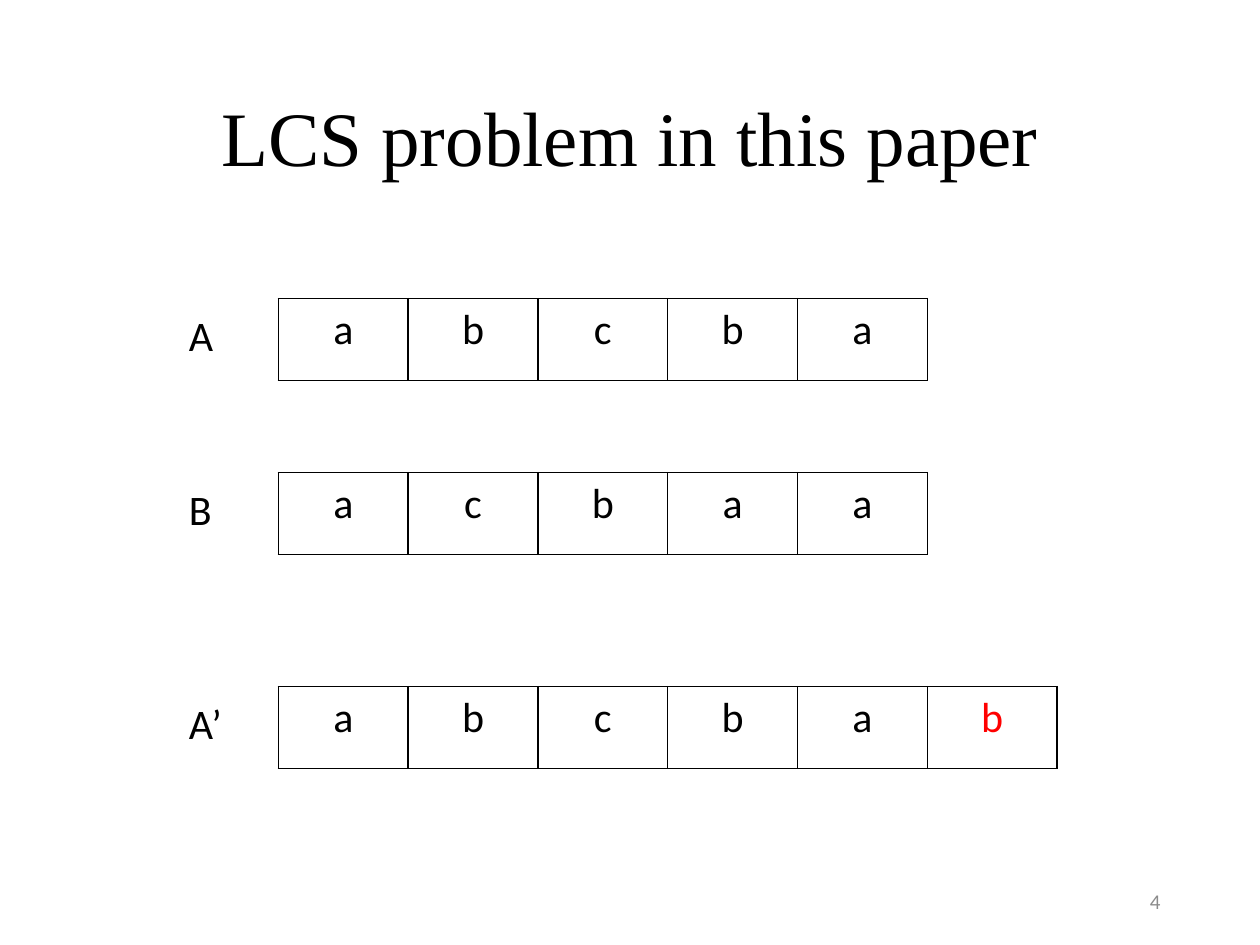
from lxml.etree import SubElement
from pptx import Presentation
from pptx.dml.color import RGBColor
from pptx.enum.text import MSO_ANCHOR as Anchor, MSO_AUTO_SIZE as AutoSize, PP_ALIGN as Align
from pptx.oxml.ns import qn
from pptx.util import Inches, Pt

WIDTH, HEIGHT = 10, 7.5
CELL_W, CELL_H = 1.03, 0.65
LABEL_X, CELLS_X = 1.4, 2.21
BLACK, RED, GRAY = "000000", "FF0000", "8C8C8C"
BODY, HEADING = "Calibri", "Times New Roman"
SEQUENCES = [
    ("A", "abcba", "", 2.37, 0.4),
    ("B", "acbaa", "", 3.75, 0.38),
    ("A’", "abcba", "b", 5.45, 0.47),
]


def rgb(value):
    return RGBColor.from_string(value)


def write(tf, text, size, font=BODY, color=BLACK, align=Align.LEFT):
    p = tf.paragraphs[0]
    p.alignment = align
    r = p.add_run()
    r.text = text
    r.font.size = Pt(size)
    r.font.name = font
    r.font.color.rgb = rgb(color)
    return p


def add_text(s, box, text, size, anchor=Anchor.MIDDLE, wrap=True, **style):
    tf = s.shapes.add_textbox(*map(Inches, box)).text_frame
    tf.word_wrap = wrap
    tf.auto_size = AutoSize.NONE if wrap else AutoSize.SHAPE_TO_FIT_TEXT
    tf.vertical_anchor = anchor
    return write(tf, text, size, **style)


def add_borders(cell, color=BLACK, width=1):
    tc_pr = cell._tc.get_or_add_tcPr()
    for side in ("a:lnL", "a:lnR", "a:lnT", "a:lnB"):
        ln = SubElement(tc_pr, qn(side), w=str(Pt(width)))
        SubElement(SubElement(ln, qn("a:solidFill")), qn("a:srgbClr"), val=color)


def add_title(s, box, text):
    p = add_text(s, box, text, 44, font=HEADING, align=Align.CENTER)
    p.line_spacing = 0.9


def add_cells(s, left, top, letters, added):
    symbols = letters + added
    size = (CELL_W * len(symbols), CELL_H)
    table = s.shapes.add_table(1, len(symbols), *map(Inches, (left, top, *size))).table
    table.first_row = table.horz_banding = False
    table.rows[0].height = Inches(CELL_H)
    for i, symbol in enumerate(symbols):
        table.columns[i].width = Inches(CELL_W)
        cell = table.cell(0, i)
        add_borders(cell)
        cell.fill.background()
        color = BLACK if i < len(letters) else RED
        write(cell.text_frame, symbol, 24, color=color, align=Align.CENTER)


def add_sequence(s, label, letters, added, top, label_w):
    add_text(s, (LABEL_X, top + 0.04, label_w, 0.5), label, 24, anchor=Anchor.TOP, wrap=False)
    add_cells(s, CELLS_X, top, letters, added)


def add_page_number(s, box, number):
    add_text(s, box, number, 12, color=GRAY, align=Align.RIGHT)


def main():
    prs = Presentation()
    prs.slide_width, prs.slide_height = Inches(WIDTH), Inches(HEIGHT)
    s = prs.slides.add_slide(prs.slide_layouts[6])
    add_title(s, (0.69, 0.4, 8.62, 1.45), "LCS problem in this paper")
    for sequence in SEQUENCES:
        add_sequence(s, *sequence)
    add_page_number(s, (7.06, 6.95, 2.25, 0.4), "4")
    prs.save("out.pptx")


if __name__ == "__main__":
    main()
